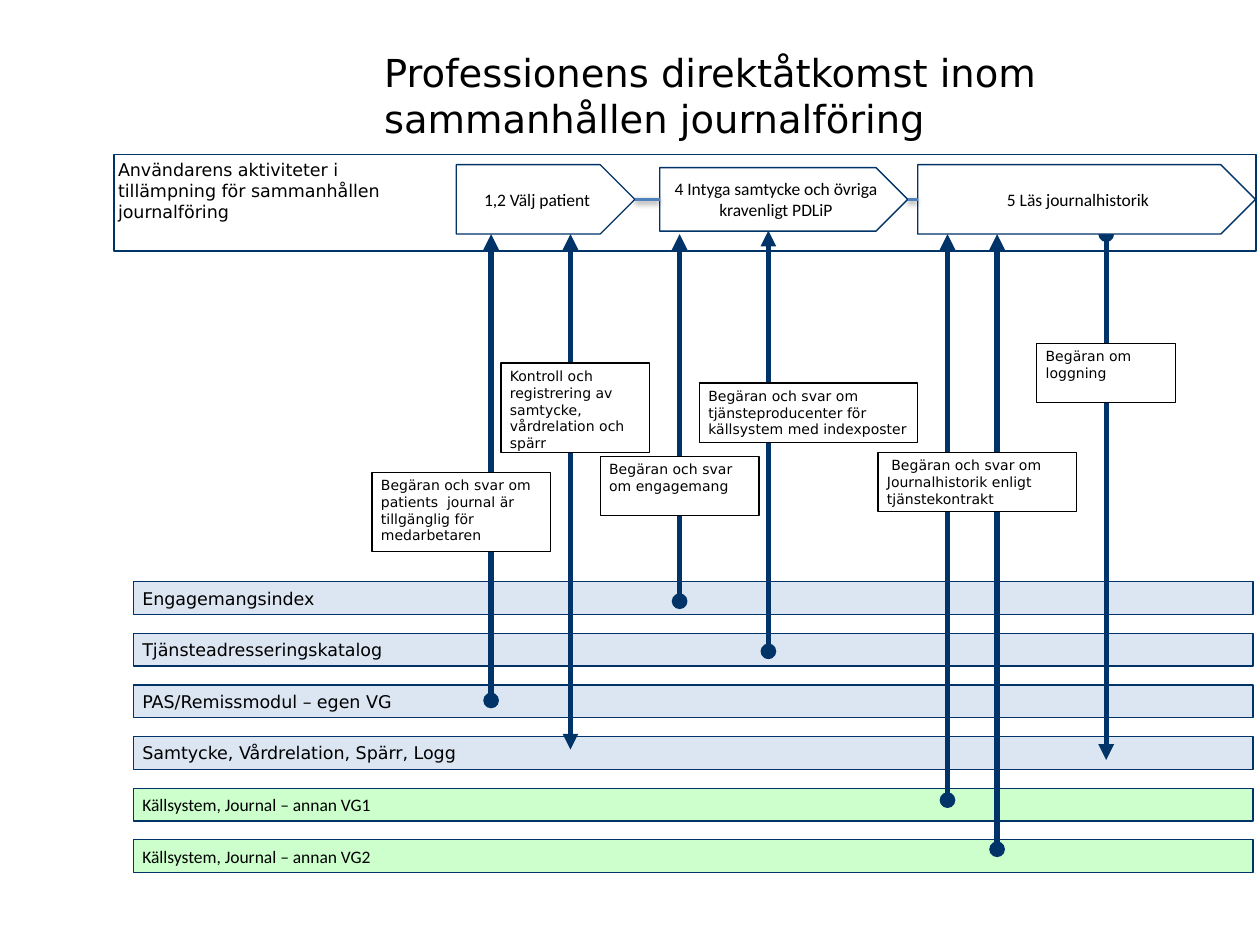
from lxml.etree import SubElement
from pptx import Presentation
from pptx.dml.color import RGBColor
from pptx.enum.shapes import MSO_CONNECTOR, MSO_SHAPE
from pptx.enum.text import MSO_ANCHOR, MSO_AUTO_SIZE, PP_ALIGN
from pptx.oxml.ns import qn
from pptx.util import Cm, Pt


def color(code):
    return RGBColor.from_string(code)


class Board:
    NAVY, BLUE, BLACK, WHITE = "003468", "4F81BD", "000000", "FFFFFF"
    SANS, PLAIN = "DejaVu Sans", "Calibri"

    def __init__(self, deck):
        self.slide = deck.slides.add_slide(deck.slide_layouts[5])
        self.shapes = self.slide.shapes

    def letter(self, shape, text, size, font, align=PP_ALIGN.LEFT,
               anchor=MSO_ANCHOR.TOP):
        frame = shape.text_frame
        frame.text = text
        frame.word_wrap = True
        frame.auto_size = MSO_AUTO_SIZE.NONE
        frame.vertical_anchor = anchor
        para = frame.paragraphs[0]
        para.alignment = align
        for run in para.runs:
            run.font.size = Pt(size)
            run.font.name = font
            run.font.color.rgb = color(self.BLACK)

    def inset(self, shape):
        frame = shape.text_frame
        frame.margin_left = frame.margin_right = Cm(0.18)
        frame.margin_top = frame.margin_bottom = Cm(0.09)

    def title(self, text, *box):
        shape = self.shapes.title
        shape.left, shape.top, shape.width, shape.height = map(Cm, box)
        self.letter(shape, text, 22, self.SANS, anchor=MSO_ANCHOR.MIDDLE)

    def block(self, kind, box, fill, line):
        shape = self.shapes.add_shape(kind, *map(Cm, box))
        shape.shadow.inherit = False
        if fill:
            shape.fill.solid()
            shape.fill.fore_color.rgb = color(fill)
        else:
            shape.fill.background()
        shape.line.color.rgb = color(line)
        shape.line.width = Pt(0.75)
        self.inset(shape)
        return shape

    def bar(self, text, top, fill, font):
        shape = self.block(MSO_SHAPE.RECTANGLE, (2.69, top, 22.57, 0.66),
                           fill, self.NAVY)
        self.letter(shape, text, 10, font, anchor=MSO_ANCHOR.MIDDLE)

    def note(self, text, *box):
        shape = self.block(MSO_SHAPE.RECTANGLE, box, self.WHITE, self.BLACK)
        self.letter(shape, text, 8, self.SANS)

    def step(self, text, *box):
        shape = self.block(MSO_SHAPE.PENTAGON, box, self.WHITE, self.NAVY)
        self.letter(shape, text, 10, self.PLAIN, PP_ALIGN.CENTER,
                    MSO_ANCHOR.MIDDLE)

    def label(self, text, *box):
        shape = self.shapes.add_textbox(*map(Cm, box))
        self.inset(shape)
        self.letter(shape, text, 10, self.SANS)

    def line(self, kind, ends, tint, width):
        wire = self.shapes.add_connector(kind, *map(Cm, ends))
        wire.line.color.rgb = color(tint)
        wire.line.width = Pt(width)
        return wire, SubElement(wire._element.spPr, qn("a:effectLst"))

    def arrow(self, x, top, end, head, tail):
        wire, _ = self.line(MSO_CONNECTOR.STRAIGHT, (x, top, x, end),
                            self.NAVY, 3)
        edge = wire._element.spPr.find(qn("a:ln"))
        SubElement(edge, qn("a:headEnd"), type=head)
        SubElement(edge, qn("a:tailEnd"), type=tail)

    def link(self, start, end, y):
        _, effects = self.line(MSO_CONNECTOR.ELBOW, (start, y, end, y),
                               self.BLUE, 2)
        shade = SubElement(effects, qn("a:outerShdw"), blurRad="39370",
                           dist="20320", dir="5400000", rotWithShape="0")
        tone = SubElement(shade, qn("a:srgbClr"), val=self.BLACK)
        SubElement(tone, qn("a:alpha"), val="38000")


deck = Presentation()
deck.slide_width, deck.slide_height = Cm(25.4), Cm(19.05)
board = Board(deck)
board.title("Professionens direktåtkomst inom sammanhållen journalföring",
            7.49, 0.74, 16.89, 2.34)

# Systems, evenly stacked
OWN, OTHER = ("DCE6F2", board.SANS), ("CCFFCC", board.PLAIN)
systems = [
    ("Engagemangsindex", OWN),
    ("Tjänsteadresseringskatalog", OWN),
    ("PAS/Remissmodul – egen VG", OWN),
    ("Samtycke, Vårdrelation, Spärr, Logg", OWN),
    ("Källsystem, Journal – annan VG1", OTHER),
    ("Källsystem, Journal – annan VG2", OTHER),
]
for row, (name, look) in enumerate(systems):
    board.bar(name, 11.73 + 1.04 * row, *look)

# Calls between activities and systems
TIP, DOT = "triangle", "oval"
for call in [
    (9.9, 4.72, 14.12, TIP, DOT),
    (11.5, 4.72, 15.11, TIP, TIP),
    (13.7, 4.72, 12.12, TIP, DOT),
    (15.49, 4.65, 13.13, TIP, DOT),
    (19.1, 4.72, 16.13, TIP, DOT),
    (20.1, 4.72, 17.12, TIP, DOT),
    (22.3, 4.72, 15.32, DOT, TIP),
]:
    board.arrow(*call)

# Notes on the calls
for note in [
    ("Begäran och svar om patients  journal är tillgänglig för medarbetaren",
     7.5, 9.52, 3.6, 1.6),
    ("Kontroll och registrering av samtycke, vårdrelation och spärr",
     10.1, 7.32, 3, 1.8),
    ("Begäran och svar om engagemang", 12.1, 9.2, 3.2, 1.2),
    ("Begäran och svar om tjänsteproducenter för källsystem med indexposter",
     14.1, 7.72, 4.4, 1.2),
    ("Begäran om loggning", 20.9, 6.92, 2.8, 1.2),
    (" Begäran och svar om Journalhistorik enligt tjänstekontrakt",
     17.7, 9.12, 4, 1.2),
]:
    board.note(*note)

# User activities
board.step("1,2 Välj patient", 9.2, 3.32, 3.6, 1.4)
board.step("4 Intyga samtycke och övriga kravenligt PDLiP",
           13.3, 3.38, 5, 1.28)
board.step("5 Läs journalhistorik", 18.5, 3.32, 6.81, 1.4)
board.label("Användarens aktiviteter i tillämpning för sammanhållen "
            "journalföring", 2.2, 3.12, 6.3, 1.47)
board.block(MSO_SHAPE.RECTANGLE, (2.3, 3.12, 23.02, 1.94), None, board.NAVY)
board.link(12.8, 13.3, 4.02)
board.link(18.3, 18.5, 4.02)

deck.save("out.pptx")
